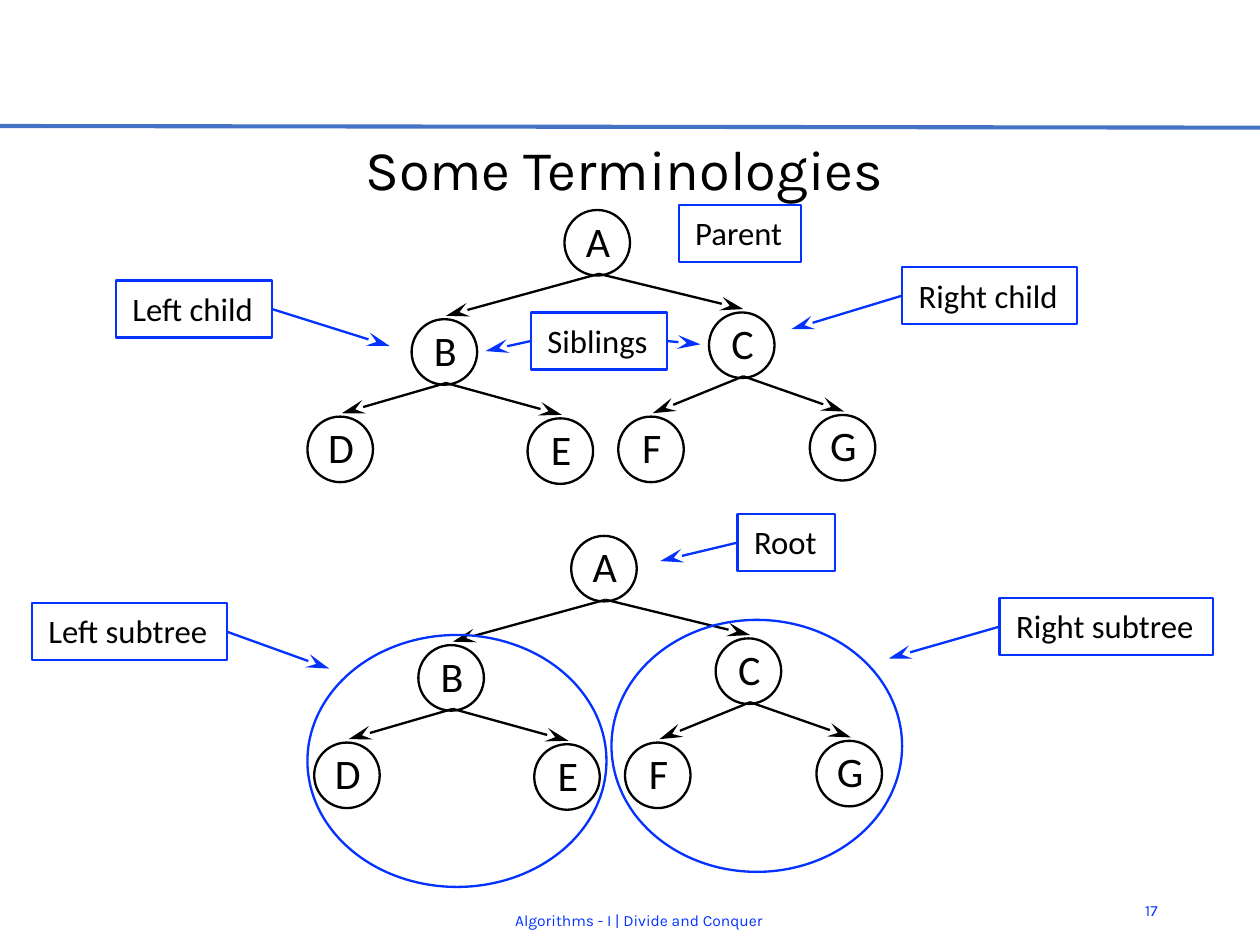
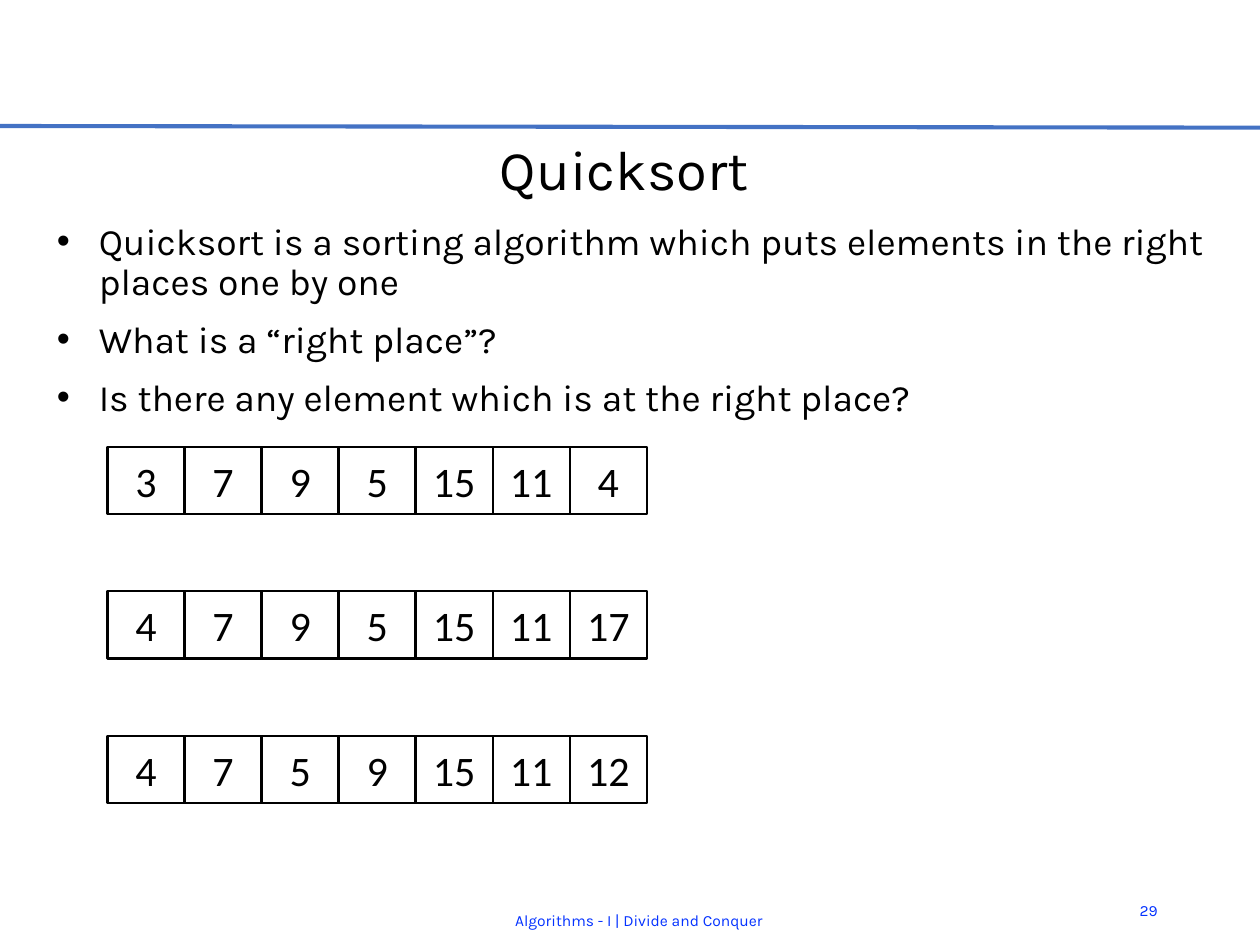
"""Build two lecture slides on tree terminology and quicksort."""
from lxml import etree
from pptx import Presentation
from pptx import util as u
from pptx.dml import color
from pptx.enum import shapes, text
from pptx.oxml import ns

BLACK, BLUE, RULE_BLUE = "000000", "0432FF", "4472C4"
BODY_FONT, LABEL_FONT = "Karla", "Calibri"
LEFT, CENTER, RIGHT = text.PP_ALIGN.LEFT, text.PP_ALIGN.CENTER, text.PP_ALIGN.RIGHT
TOP, MIDDLE = text.MSO_ANCHOR.TOP, text.MSO_ANCHOR.MIDDLE
RECTANGLE, OVAL = shapes.MSO_SHAPE.RECTANGLE, shapes.MSO_SHAPE.OVAL

SLIDE_WIDTH = 7.5
SLIDE_HEIGHT = SLIDE_WIDTH * 3 / 4
NODE_SIZE = 0.39
NODES = {"A": (3.36, 1.25), "B": (2.45, 1.9), "C": (4.22, 1.86), "D": (1.83, 2.48),
         "E": (3.14, 2.49), "F": (3.68, 2.48), "G": (4.82, 2.47)}
EDGES = ("AB", "AC", "BD", "BE", "CF", "CG")
CALLOUT_HEIGHT = 0.34
CALLOUTS = (
    ("Parent", 4.04, 1.22, 0.73, ()),
    ("Siblings", 3.16, 1.86, 0.81, ((2.89, 2.09), (4.17, 2.05))),
    ("Right child", 5.37, 1.59, 1.04, ((4.71, 1.96),)),
    ("Left child", 0.69, 1.67, 0.93, ((2.32, 2.06),)),
    ("Root", 4.39, 3.06, 0.58, ((3.93, 3.34),)),
    ("Right subtree", 5.95, 3.56, 1.27, ((5.29, 3.92),)),
    ("Left subtree", 0.19, 3.59, 1.16, ((1.96, 3.98),)),
)
SUBTREE_RINGS = ((3.64, 3.69, 1.73, 1.5), (1.83, 3.78, 1.78, 1.5))
BULLETS = (
    "Quicksort is a sorting algorithm which puts elements in the right places one by one",
    "What is a “right place”?",
    "Is there any element which is at the right place?",
)
ARRAYS = ((3, 7, 9, 5, 15, 11, 4), (4, 7, 9, 5, 15, 11, 17), (4, 7, 5, 9, 15, 11, 12))


def rgb(value):
    """Turn a hex string into a colour."""
    return color.RGBColor.from_string(value)


def inches(*lengths):
    """Turn numbers into lengths in inches."""
    return [u.Inches(length) for length in lengths]


def set_text(frame, content, size=18, font=LABEL_FONT, ink=BLACK, align=CENTER,
             anchor=MIDDLE, wrap=True, margins=(0.1, 0.05, 0.1, 0.05)):
    """Write one paragraph per line of content and format the frame."""
    frame.word_wrap = wrap
    frame.auto_size = text.MSO_AUTO_SIZE.NONE
    frame.vertical_anchor = anchor
    (frame.margin_left, frame.margin_top,
     frame.margin_right, frame.margin_bottom) = inches(*margins)
    frame.text = content
    for paragraph in frame.paragraphs:
        paragraph.alignment = align
        for run in paragraph.runs:
            run.font.size = u.Pt(size)
            run.font.name = font
            run.font.color.rgb = rgb(ink)


def add_outline(container, kind, box, ink=BLACK):
    """Add an unfilled shape with a thin outline."""
    shape = container.add_shape(kind, *inches(*box))
    shape.shadow.inherit = False
    shape.fill.background()
    shape.line.color.rgb = rgb(ink)
    shape.line.width = u.Pt(1)
    return shape


def add_line(container, start, end, ink=BLACK, width=1, arrow=True):
    """Add a straight line, by default with a long stealth arrowhead at its end."""
    connector = container.add_connector(shapes.MSO_CONNECTOR.STRAIGHT, *inches(*start, *end))
    connector.line.color.rgb = rgb(ink)
    connector.line.width = u.Pt(width)
    properties = connector.element.spPr
    if arrow:
        etree.SubElement(properties.find(ns.qn("a:ln")), ns.qn("a:tailEnd"),
                         type="stealth", w="med", len="lg")
    etree.SubElement(properties, ns.qn("a:effectLst"))


def add_text(slide, box, content, **style):
    """Add a text box and return its frame."""
    frame = slide.shapes.add_textbox(*inches(*box)).text_frame
    set_text(frame, content, **style)
    return frame


def add_slide(presentation, title, number):
    """Add a slide with the shared rule, title, footer and number."""
    slide = presentation.slides.add_slide(presentation.slide_layouts[5])
    heading = slide.shapes.title
    heading.left, heading.top, heading.width, heading.height = inches(0.24, 0.79, 6.94, 0.41)
    set_text(heading.text_frame, title, size=24, font=BODY_FONT, margins=(0.01, 0.01, 0, 0))
    add_line(slide.shapes, (0, 0.75), (SLIDE_WIDTH, 0.76), RULE_BLUE, 1.75, arrow=False)
    small = {"size": 6.75, "font": BODY_FONT, "ink": BLUE}
    add_text(slide, (6.62, 5.27, 0.37, 0.3), str(number), align=RIGHT, **small)
    add_text(slide, (1.58, 5.33, 4.45, 0.3), "Algorithms - I | Divide and Conquer", **small)
    return slide


def add_tree(slide, shift_x=0, shift_y=0):
    """Add the grouped seven-node tree, shifted from its base place."""
    group = slide.shapes.add_group_shape().shapes
    places = {name: (x + shift_x, y + shift_y) for name, (x, y) in NODES.items()}
    for name, place in places.items():
        node = add_outline(group, OVAL, (*place, NODE_SIZE, NODE_SIZE))
        set_text(node.text_frame, name, wrap=False, margins=(0.01, 0, 0, 0.03))
    middle = NODE_SIZE / 2 + 0.01
    for parent, child in EDGES:
        (parent_x, parent_y), (child_x, child_y) = places[parent], places[child]
        add_line(group, (parent_x + middle, parent_y + NODE_SIZE - 0.01),
                 (child_x + middle, child_y - 0.02))


def add_callout(slide, label, left, top, width, targets):
    """Add a blue label box with arrows from its sides to the targets."""
    box = add_outline(slide.shapes, RECTANGLE, (left, top, width, CALLOUT_HEIGHT), BLUE)
    set_text(box.text_frame, label, size=14, align=LEFT, anchor=TOP, wrap=False)
    for target in targets:
        side = left if target[0] < left else left + width
        add_line(slide.shapes, (side, top + CALLOUT_HEIGHT / 2), target, BLUE)


def add_bullets(slide, box, items):
    """Add a bulleted list."""
    frame = add_text(slide, box, "\n".join(items), size=16, font=BODY_FONT,
                     align=LEFT, anchor=TOP)
    for index, paragraph in enumerate(frame.paragraphs):
        properties = paragraph._p.get_or_add_pPr()
        properties.set("marL", str(u.Inches(0.25)))
        properties.set("indent", str(-u.Inches(0.25)))
        etree.SubElement(properties, ns.qn("a:buFont"), typeface="Arial")
        etree.SubElement(properties, ns.qn("a:buChar"), char="•")
        paragraph.line_spacing = u.Pt(17)
        if index:
            paragraph.space_before = u.Pt(8)


def add_array(slide, left, top, values, width=3.21, height=0.4):
    """Add a grouped row of boxed values that share the width equally."""
    group = slide.shapes.add_group_shape().shapes
    cell_width = width / len(values)
    for index, value in enumerate(values):
        cell = add_outline(group, RECTANGLE,
                           (left + index * cell_width, top, cell_width, height))
        set_text(cell.text_frame, str(value), wrap=False)


def main():
    """Build and save the presentation."""
    presentation = Presentation()
    presentation.slide_width, presentation.slide_height = inches(SLIDE_WIDTH, SLIDE_HEIGHT)

    terms = add_slide(presentation, "Some Terminologies", 17)
    add_tree(terms)
    add_tree(terms, 0.04, 1.94)
    for ring in SUBTREE_RINGS:
        add_outline(terms.shapes, OVAL, ring, BLUE)
    for callout in CALLOUTS:
        add_callout(terms, *callout)

    quicksort = add_slide(presentation, "Quicksort", 29)
    add_bullets(quicksort, (0.24, 1.28, 7.03, 2.39), BULLETS)
    for row, values in enumerate(ARRAYS):
        add_array(quicksort, 0.64, 2.66 + row * 0.86, values)

    presentation.save("out.pptx")


if __name__ == "__main__":
    main()
